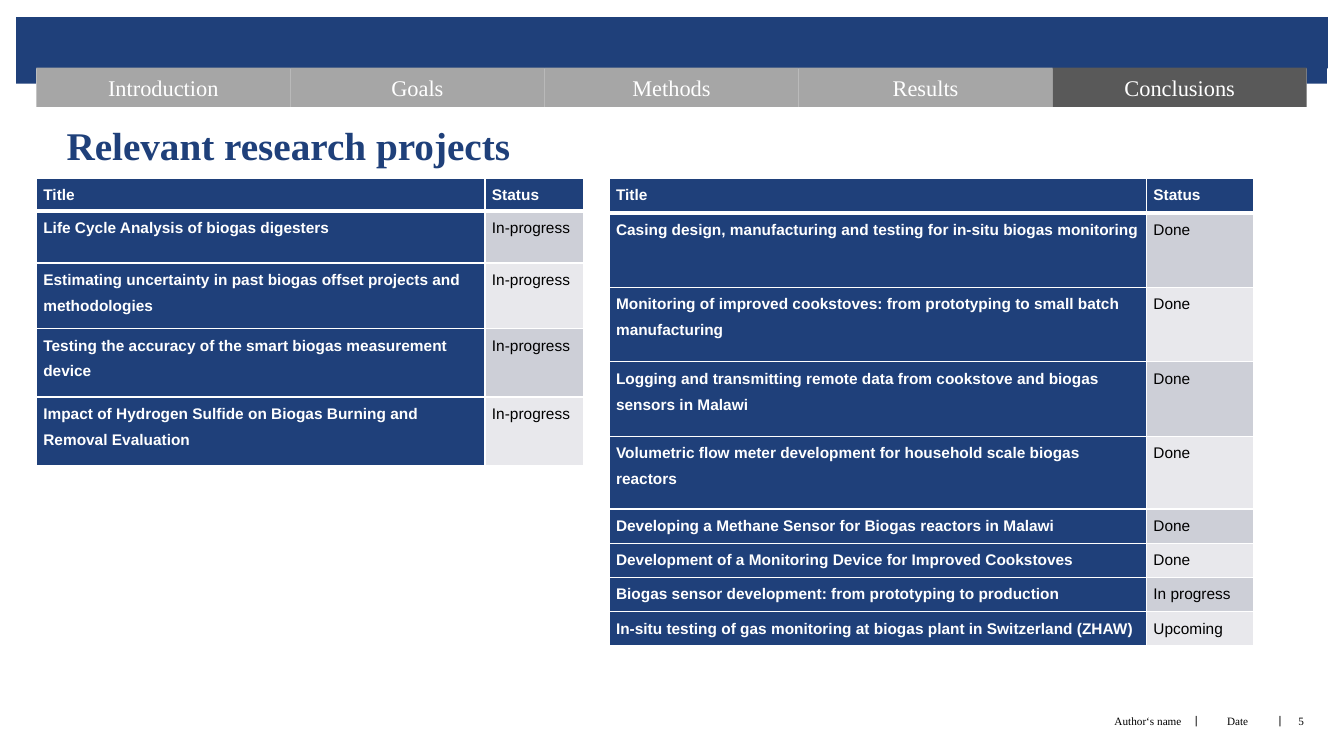
from dataclasses import dataclass

from lxml import etree
from pptx import Presentation
from pptx.dml.color import RGBColor
from pptx.enum import shapes, text
from pptx.oxml import ns
from pptx.util import Inches, Pt


@dataclass(frozen=True)
class Theme:
    """Colours, fonts and type sizes of the slide."""
    navy: str = "1F407A"
    white: str = "FFFFFF"
    black: str = "000000"
    tab: str = "A6A6A6"
    active_tab: str = "595959"
    bands: tuple = ("CDCFD7", "E8E8EC")
    serif: str = "Times New Roman"
    sans: str = "Arial"
    title_size: int = 28
    tab_size: int = 16
    table_size: int = 11
    footer_size: int = 8


THEME = Theme()
LEFT, CENTER, RIGHT = text.PP_ALIGN.LEFT, text.PP_ALIGN.CENTER, text.PP_ALIGN.RIGHT
SECTIONS = ["Introduction", "Goals", "Methods", "Results", "Conclusions"]
CURRENT_PROJECTS = [
    ("Title", "Status", 0.32),
    ("Life Cycle Analysis of biogas digesters", "In-progress", 0.52),
    ("Estimating uncertainty in past biogas offset projects and methodologies", "In-progress", 0.65),
    ("Testing the accuracy of the smart biogas measurement device", "In-progress", 0.68),
    ("Impact of Hydrogen Sulfide on Biogas Burning and Removal Evaluation", "In-progress", 0.68),
]
OTHER_PROJECTS = [
    ("Title", "Status", 0.34),
    ("Casing design, manufacturing and testing for in-situ biogas monitoring", "Done", 0.74),
    ("Monitoring of improved cookstoves: from prototyping to small batch manufacturing", "Done", 0.74),
    ("Logging and transmitting remote data from cookstove and biogas sensors in Malawi", "Done", 0.74),
    ("Volumetric flow meter development for household scale biogas reactors", "Done", 0.72),
    ("Developing a Methane Sensor for Biogas reactors in Malawi", "Done", 0.34),
    ("Development of a Monitoring Device for Improved Cookstoves", "Done", 0.34),
    ("Biogas sensor development: from prototyping to production", "In progress", 0.34),
    ("In-situ testing of gas monitoring at biogas plant in Switzerland (ZHAW)", "Upcoming", 0.34),
]


def write(frame, words, size, color, font=THEME.serif, bold=False, align=LEFT):
    """Write one formatted run and return its paragraph."""
    paragraph = frame.paragraphs[0]
    paragraph.alignment = align
    run = paragraph.add_run()
    run.text = words
    run.font.name, run.font.size, run.font.bold = font, Pt(size), bold
    run.font.color.rgb = RGBColor.from_string(color)
    return paragraph


def set_margins(holder, left, top, right, bottom):
    """Set the inner margins of a text frame or table cell."""
    holder.margin_left, holder.margin_top = Inches(left), Inches(top)
    holder.margin_right, holder.margin_bottom = Inches(right), Inches(bottom)


def paint(holder, color):
    """Give a shape or cell a solid fill."""
    holder.fill.solid()
    holder.fill.fore_color.rgb = RGBColor.from_string(color)


def add_block(slide, left, top, width, height, color):
    """Add a plain filled rectangle."""
    block = slide.shapes.add_shape(
        shapes.MSO_SHAPE.RECTANGLE, Inches(left), Inches(top), Inches(width), Inches(height))
    block.shadow.inherit = False
    block.line.fill.background()
    paint(block, color)
    return block


def add_tab(slide, index, label):
    """Add one section tab of the navigation bar."""
    color = THEME.active_tab if label == "Conclusions" else THEME.tab
    frame = add_block(slide, 0.36 + 2.52 * index, 0.67, 2.52, 0.39, color).text_frame
    set_margins(frame, 0, 0.04, 0, 0.04)
    frame.vertical_anchor = text.MSO_ANCHOR.MIDDLE
    write(frame, label, THEME.tab_size, THEME.white, align=CENTER)


def add_footer(slide, words, left, width, align=CENTER, font=THEME.serif, top=6.9):
    """Add one footer text."""
    box = slide.shapes.add_textbox(Inches(left), Inches(top), Inches(width), Inches(0.51))
    frame = box.text_frame
    frame.word_wrap = True
    frame.vertical_anchor = text.MSO_ANCHOR.MIDDLE
    set_margins(frame, 0, 0, 0, 0)
    write(frame, words, THEME.footer_size, THEME.black, font, align=align)


def add_title(slide, words):
    """Place and fill the title placeholder."""
    title = slide.shapes.title
    title.left, title.top = Inches(0.5), Inches(1.14)
    title.width, title.height = Inches(4.75), Inches(0.55)
    paint(title, THEME.white)
    frame = title.text_frame
    frame.auto_size = text.MSO_AUTO_SIZE.NONE
    frame.vertical_anchor = text.MSO_ANCHOR.TOP
    set_margins(frame, 0.16, 0.06, 0.1, 0)
    paragraph = write(frame, words, THEME.title_size, THEME.navy, bold=True)
    paragraph.line_spacing = 1.0


def add_borders(cell, top, bottom):
    """Draw white borders around a cell."""
    properties = cell._tc.get_or_add_tcPr()
    for position, (side, width) in enumerate(zip("LRTB", (1, 1, top, bottom))):
        line = etree.Element(ns.qn(f"a:ln{side}"), w=str(Pt(width)))
        fill = etree.SubElement(line, ns.qn("a:solidFill"))
        etree.SubElement(fill, ns.qn("a:srgbClr"), val=THEME.white)
        properties.insert(position, line)


def add_project_table(slide, left, widths, projects):
    """Add a table of project titles and their status."""
    height = sum(project[2] for project in projects)
    table = slide.shapes.add_table(
        len(projects), 2, Inches(left), Inches(1.77), Inches(sum(widths)), Inches(height)).table
    for column, width in zip(table.columns, widths):
        column.width = Inches(width)
    for row, (name, status, row_height) in enumerate(projects):
        table.rows[row].height = Inches(row_height)
        for column, words in enumerate((name, status)):
            cell = table.cell(row, column)
            dark = row == 0 or column == 0
            paint(cell, THEME.navy if dark else THEME.bands[(row - 1) % 2])
            set_margins(cell, 0.07, 0, 0.07, 0)
            add_borders(cell, 3 if row == 1 else 1, 3 if row == 0 else 1)
            paragraph = write(cell.text_frame, words, THEME.table_size,
                              THEME.white if dark else THEME.black, THEME.sans, dark)
            paragraph.line_spacing = 1.5
            paragraph.space_after = Pt(8)


def main():
    """Build and save the slide."""
    presentation = Presentation()
    presentation.slide_width, presentation.slide_height = Inches(13.33), Inches(7.5)
    slide = presentation.slides.add_slide(presentation.slide_layouts[5])

    add_block(slide, 0.16, 0.17, 13.01, 0.51, THEME.navy)
    for left in (0.16, 12.96):
        add_block(slide, left, 0.65, 0.2, 0.18, THEME.navy)
    for index, label in enumerate(SECTIONS):
        add_tab(slide, index, label)

    add_title(slide, "Relevant research projects")
    add_project_table(slide, 0.36, (4.45, 0.98), CURRENT_PROJECTS)
    add_project_table(slide, 6.04, (5.33, 1.06), OTHER_PROJECTS)

    for left in (11.79, 12.62):
        add_footer(slide, "|", left, 0.15, font=THEME.sans, top=6.89)
    add_footer(slide, "Author‘s name", 6.66, 5.06, RIGHT)
    add_footer(slide, "Date", 11.94, 0.67)
    add_footer(slide, "5", 12.71, 0.39)
    presentation.save("out.pptx")


if __name__ == "__main__":
    main()
